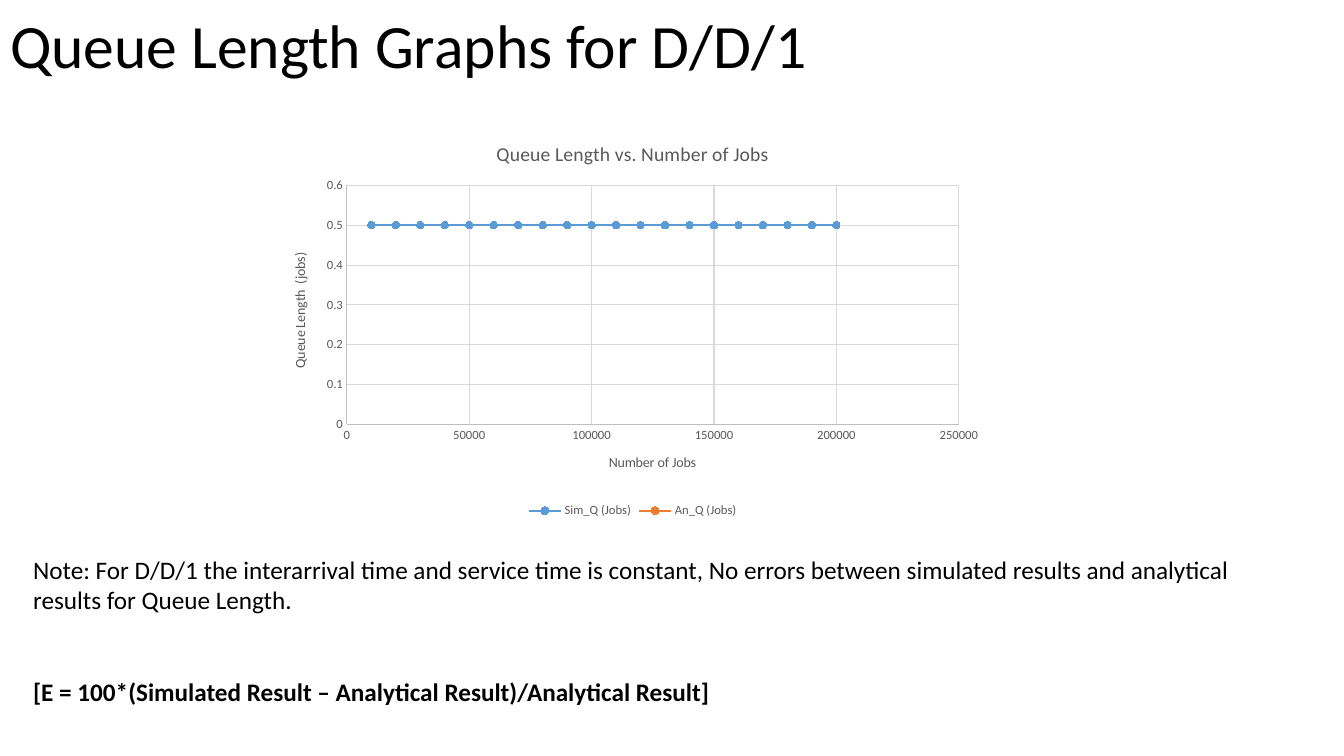
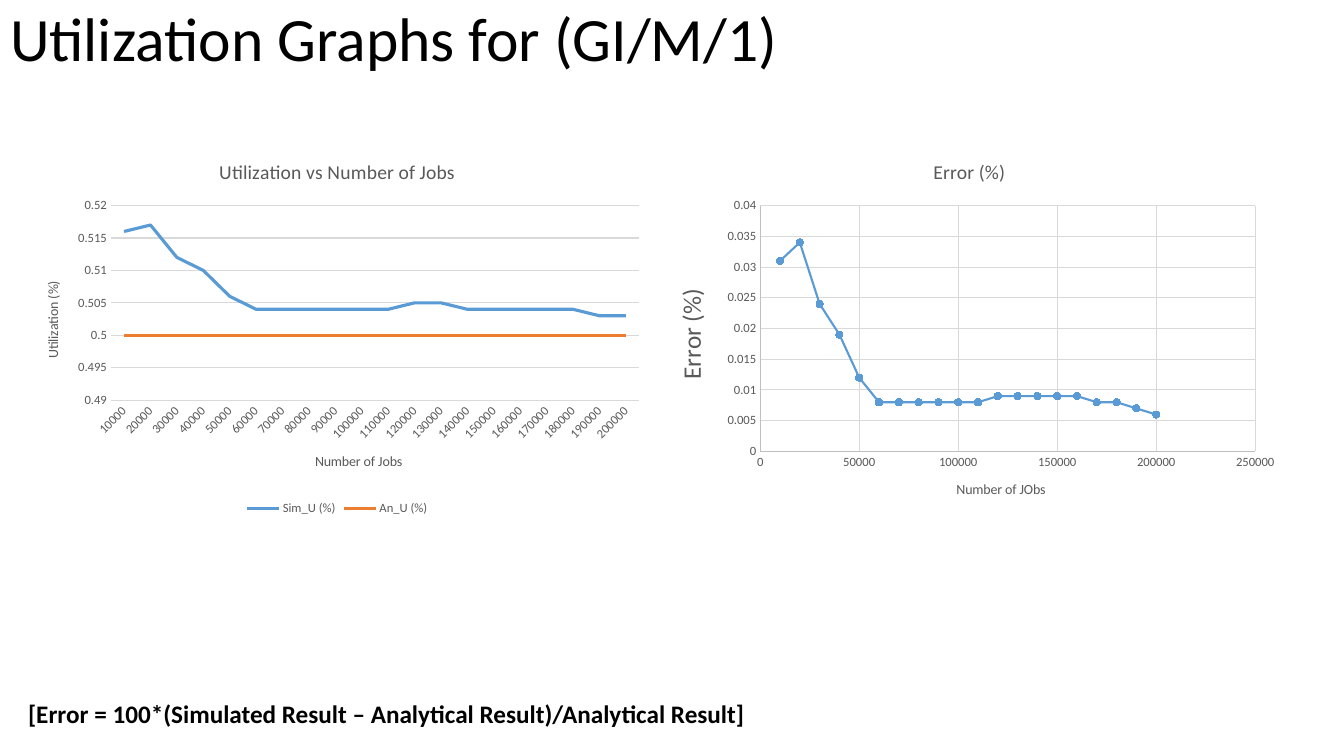
"""Build two slides of queue simulation graphs."""
import pptx
import pptx.chart.data
import pptx.dml.color
import pptx.enum.chart
import pptx.enum.text
import pptx.oxml
import pptx.oxml.ns
import pptx.util

Inches = pptx.util.Inches
Pt = pptx.util.Pt
KIND = pptx.enum.chart.XL_CHART_TYPE
FONT = "Calibri"
BLACK, GRAY, RULE, GRID = "000000", "595959", "BFBFBF", "D9D9D9"
COLORS = ["5B9BD5", "ED7D31"]
JOBS = range(10000, 200001, 10000)
HALF = [0.5] * len(JOBS)
USAGE = [0.516, 0.517, 0.512, 0.51, 0.506, 0.504, 0.504, 0.504, 0.504, 0.504,
         0.504, 0.505, 0.505, 0.504, 0.504, 0.504, 0.504, 0.504, 0.503, 0.503]
ERROR = [0.031, 0.034, 0.024, 0.019, 0.012, 0.008, 0.008, 0.008, 0.008, 0.008,
         0.008, 0.009, 0.009, 0.009, 0.009, 0.009, 0.008, 0.008, 0.007, 0.006]


def hue(code):
    """Turn a hex string into a colour."""
    return pptx.dml.color.RGBColor.from_string(code)


def style(font, size, color, bold=False):
    """Set the face, size, colour and weight of a font."""
    font.name, font.size, font.bold = FONT, Pt(size), bold
    font.color.rgb = hue(color)


def stroke(line, color, width=0.75):
    """Set the colour and width of a line."""
    line.color.rgb = hue(color)
    line.width = Pt(width)


def add_page(deck, title, top, height):
    """Add a slide with a title at its left edge."""
    page = deck.slides.add_slide(deck.slide_layouts[5])
    shape = page.shapes.title
    shape.left, shape.top = Inches(0), Inches(top)
    shape.width, shape.height = Inches(11.5), Inches(height)
    frame = shape.text_frame
    frame.text = title
    frame.auto_size = pptx.enum.text.MSO_AUTO_SIZE.NONE
    frame.vertical_anchor = pptx.enum.text.MSO_ANCHOR.MIDDLE
    para = frame.paragraphs[0]
    para.alignment = pptx.enum.text.PP_ALIGN.LEFT
    para.line_spacing = 0.9
    style(para.runs[0].font, 44, BLACK)
    return page


def add_note(page, box, lines):
    """Add a text box of (text, bold) lines, spaced apart."""
    frame = page.shapes.add_textbox(*map(Inches, box)).text_frame
    frame.word_wrap = True
    for index, (text, bold) in enumerate(lines):
        para = frame.add_paragraph() if index else frame.paragraphs[0]
        para.text = text
        style(para.runs[0].font, 18, BLACK, bold)
        if index:
            para.space_before = Pt(44)


def label(title, text, size):
    """Write a chart or axis title."""
    title.text_frame.text = text
    style(title.text_frame.paragraphs[0].runs[0].font, size, GRAY)


def set_axis(axis, title, scale, rule=RULE, grid=True, size=10):
    """Format an axis; scale holds low, high and step."""
    label(axis.axis_title, title, size)
    if scale:
        axis.minimum_scale, axis.maximum_scale, axis.major_unit = scale
    axis.major_tick_mark = pptx.enum.chart.XL_TICK_MARK.NONE
    axis.minor_tick_mark = pptx.enum.chart.XL_TICK_MARK.NONE
    axis.tick_labels.number_format = "General"
    axis.tick_labels.number_format_is_linked = False
    style(axis.tick_labels.font, 9, GRAY)
    axis.has_major_gridlines = grid
    if grid:
        stroke(axis.major_gridlines.format.line, GRID)
    if rule:
        stroke(axis.format.line, rule)
    else:
        axis.format.line.fill.background()


def set_plot(chart, box, area):
    """Fix the inner plot area, given in slide inches."""
    left, top, width, height = box
    parts = {"x": (area[0] - left) / width, "y": (area[1] - top) / height,
             "w": area[2] / width, "h": area[3] / height}
    modes = "".join(f'<c:{side}Mode val="edge"/>' for side in "xy")
    sizes = "".join(f'<c:{key} val="{val:.4f}"/>' for key, val in parts.items())
    node = pptx.oxml.parse_xml(
        f'<c:layout {pptx.oxml.ns.nsdecls("c")}><c:manualLayout>'
        f'<c:layoutTarget val="inner"/>{modes}{sizes}'
        '</c:manualLayout></c:layout>')
    plot = chart.element.find(".//" + pptx.oxml.ns.qn("c:plotArea"))
    for old in plot.findall(pptx.oxml.ns.qn("c:layout")):
        plot.remove(old)
    plot.insert(0, node)


def add_graph(page, kind, box, area, title, rows):
    """Add a line or scatter chart of named rows against jobs."""
    if kind == KIND.LINE:
        data = pptx.chart.data.CategoryChartData()
        data.categories = [str(job) for job in JOBS]
        for name, vals in rows:
            data.add_series(name, vals)
    else:
        data = pptx.chart.data.XyChartData()
        for name, vals in rows:
            row = data.add_series(name)
            for job, val in zip(JOBS, vals):
                row.add_data_point(job, val)
    chart = page.shapes.add_chart(kind, *map(Inches, box), data).chart
    style(chart.font, 10, BLACK)
    chart.has_title = True
    label(chart.chart_title, title, 14)
    chart.has_legend = len(rows) > 1
    if chart.has_legend:
        chart.legend.position = pptx.enum.chart.XL_LEGEND_POSITION.BOTTOM
        chart.legend.include_in_layout = False
        style(chart.legend.font, 9, GRAY)
    chart.plots[0].vary_by_categories = False
    for row, color in zip(chart.plots[0].series, COLORS):
        row.smooth = False
        stroke(row.format.line, color, 2.25 if kind == KIND.LINE else 1.5)
        mark = row.marker
        if kind == KIND.LINE:
            mark.style = pptx.enum.chart.XL_MARKER_STYLE.NONE
            continue
        mark.style = pptx.enum.chart.XL_MARKER_STYLE.CIRCLE
        mark.size = 5
        mark.format.fill.solid()
        mark.format.fill.fore_color.rgb = hue(color)
        stroke(mark.format.line, color)
    set_plot(chart, box, area)
    return chart


def main():
    """Build and save the deck."""
    deck = pptx.Presentation()
    deck.slide_width, deck.slide_height = Inches(13.33), Inches(7.5)
    span = (0, 250000, 50000)

    page = add_page(deck, "Queue Length Graphs for D/D/1", 0.1, 0.77)
    queue = add_graph(page, KIND.XY_SCATTER_LINES, (2.69, 1.22, 7.17, 3.96),
                      (3.44, 1.84, 6.07, 2.37),
                      "Queue Length vs. Number of Jobs",
                      [("Sim_Q (Jobs)", HALF), ("An_Q (Jobs)", HALF)])
    set_axis(queue.category_axis, "Number of Jobs", span)
    set_axis(queue.value_axis, "Queue Length  (jobs)", (0, 0.6, 0.1))
    add_note(page, (0.23, 5.45, 12.27, 1.62), [
        ("Note: For D/D/1 the interarrival time and service time is constant, "
         "No errors between simulated results and analytical results for "
         "Queue Length.", False),
        ("[E = 100*(Simulated Result – Analytical Result)/Analytical Result]",
         True)])

    page = add_page(deck, "Utilization Graphs for (GI/M/1)", 0, 0.83)
    usage = add_graph(page, KIND.LINE, (0.23, 1.41, 6.23, 3.75),
                      (1.1, 2.04, 5.24, 1.93), "Utilization vs Number of Jobs",
                      [("Sim_U (%)", USAGE), ("An_U (%)", HALF)])
    set_axis(usage.category_axis, "Number of Jobs", None, GRID, False)
    turn = usage.category_axis._element.find(
        pptx.oxml.ns.qn("c:txPr") + "/" + pptx.oxml.ns.qn("a:bodyPr"))
    turn.set("rot", "-2700000")
    set_axis(usage.value_axis, "Utilization (%)", (0.49, 0.52, 0.005), None)
    error = add_graph(page, KIND.XY_SCATTER_LINES, (6.46, 1.41, 6.31, 3.75),
                      (7.54, 2.04, 4.91, 2.44), "Error (%)",
                      [("Error (%)", ERROR)])
    set_axis(error.category_axis, "Number of JObs", span)
    set_axis(error.value_axis, "Error (%)", (0, 0.04, 0.005), size=18)
    add_note(page, (0.18, 6.88, 9.41, 0.4), [
        ("[Error = 100*(Simulated Result – Analytical Result)"
         "/Analytical Result]", True)])

    deck.save("out.pptx")


if __name__ == "__main__":
    main()
